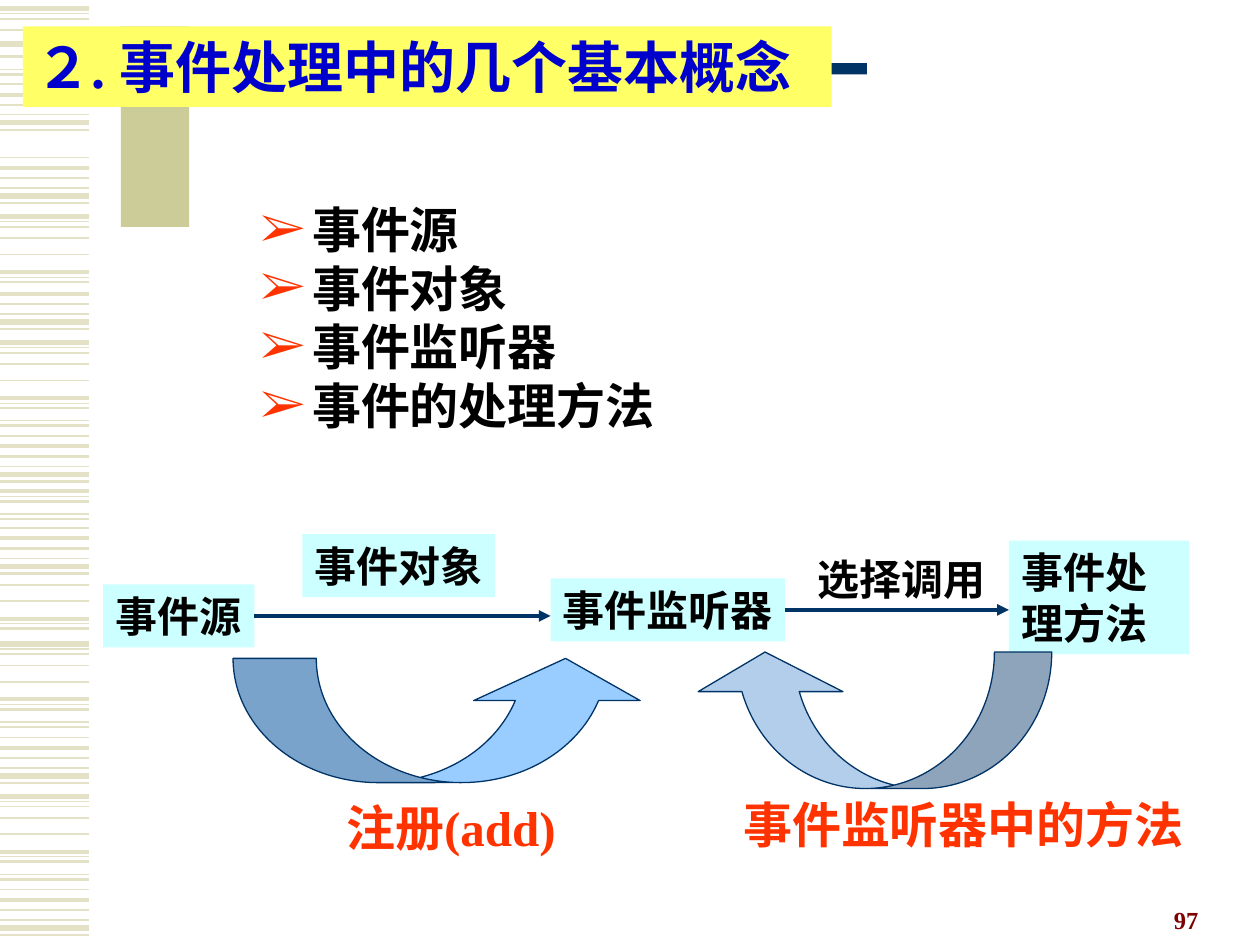
import pptx
import pptx.util
import pptx.dml.color
import pptx.enum.shapes
import pptx.enum.text
import pptx.oxml
import pptx.oxml.ns
import lxml.etree

Pt = pptx.util.Pt
SHAPE = pptx.enum.shapes.MSO_SHAPE
ALIGN = pptx.enum.text.PP_ALIGN
ANCHOR = pptx.enum.text.MSO_ANCHOR

# Content
TITLE = "２. 事件处理中的几个基本概念"
CONCEPTS = ["事件源", "事件对象", "事件监听器", "事件的处理方法"]
PAGE_NUMBER = "97"

# Labels: text, (left, top, width, height), style, filled, wrapped
LABELS = [
    ("事件源", (59, 334, 86.4, 36), "label", True, False),
    ("事件对象", (172.8, 305.3, 110.2, 36), "label", True, False),
    ("事件监听器", (314.6, 330.5, 134, 36), "label", True, False),
    ("选择调用", (460, 312.5, 110.2, 36), "label", False, False),
    ("事件处理方法", (576.5, 309, 103, 64.8), "label", True, True),
    ("注册(add)", (190.8, 452.2, 140.4, 41), "caption", False, False),
    ("事件监听器中的方法", (417.6, 450.7, 265.7, 41), "caption", False, False),
]
ARROWS = [("事件源", "事件监听器"), ("事件监听器", "事件处理方法")]

# Curved arrows: preset, frame, rotation, fill, adjustments
CURVED_ARROWS = [
    (SHAPE.CURVED_UP_ARROW, (133.2, 376.2, 237.6, 71), 0, "register", (0.67, 1.34, 0.34)),
    (SHAPE.CURVED_LEFT_ARROW, (459.4, 309, 78, 205.2), 90, "callback", (0.42, 1.06, 0.29)),
]

# Side stripes: (offset, weight) motifs, and where each one starts
SHORT_MOTIF = [(0, 1), (6, 2.25), (11.8, 1.5), (17.4, 0.75), (22, 3), (26, 1.5)]
LONG_MOTIF = [(0, 3), (2.9, 0.75), (5.8, 1), (12.3, 1), (21.7, 1), (31.7, 2.25),
              (34.6, 0.75), (37.4, 1.5), (44.6, 0.75), (47.5, 1.5)]
STRIPE_RUNS = [
    *[(top, SHORT_MOTIF) for top in (48.2, 90, 249.1, 301.7, 421.4, 508.3)],
    *[(top, LONG_MOTIF) for top in (195.8, 368, 455)],
    (162, SHORT_MOTIF[1:]),
    (5, LONG_MOTIF[:4]),
    (-5, LONG_MOTIF[7:]),
    (25.2, LONG_MOTIF[:1]),
    (123.8, LONG_MOTIF[:8]),
    (249.1, LONG_MOTIF[5:]),
    (321.8, LONG_MOTIF[3:8]),
]
STRIPE_LENGTH = 51
BULLET_INDENT = 29.5

THEME = {
    "font": "Times New Roman",
    "colours": {"stripe": "E3E2C7", "block": "CCCC99", "navy": "003366",
                "title_fill": "FFFF66", "label_fill": "CCFFFF", "bullet": "FF3300",
                "register": "99CCFF", "callback": "B2CEEA"},
    "text": {"title": (32, "0000CC"), "list": (28, "000000"), "label": (24, "000000"),
             "caption": (28, "FF3300"), "number": (14, "800000")},
}


def rgb(name):
    return pptx.dml.color.RGBColor.from_string(THEME["colours"].get(name, name))


def set_fill(shape, name):
    shape.fill.solid()
    shape.fill.fore_color.rgb = rgb(name)


def write(shape, lines, style, wrap=False, align=ALIGN.LEFT, anchor=ANCHOR.TOP, bullet=None):
    frame = shape.text_frame
    formats = {"word_wrap": wrap, "vertical_anchor": anchor,
               "auto_size": pptx.enum.text.MSO_AUTO_SIZE.NONE,
               "margin_left": Pt(7.2), "margin_right": Pt(7.2),
               "margin_top": Pt(3.6), "margin_bottom": Pt(3.6)}
    for name, value in formats.items():
        setattr(frame, name, value)
    size, colour = THEME["text"][style]
    frame.text = "\n".join(lines)
    for paragraph in frame.paragraphs:
        paragraph.alignment = align
        if bullet:
            add_bullet(paragraph, bullet)
        for name, value in {"name": THEME["font"], "size": Pt(size), "bold": True}.items():
            setattr(paragraph.runs[0].font, name, value)
        paragraph.runs[0].font.color.rgb = rgb(colour)


def add_bullet(paragraph, character):
    properties = paragraph._p.get_or_add_pPr()
    properties.set("marL", str(Pt(BULLET_INDENT)))
    properties.set("indent", str(-Pt(BULLET_INDENT)))
    qualify = pptx.oxml.ns.qn
    colour = lxml.etree.SubElement(properties, qualify("a:buClr"))
    lxml.etree.SubElement(colour, qualify("a:srgbClr"), val=THEME["colours"]["bullet"])
    lxml.etree.SubElement(properties, qualify("a:buFont"), typeface=THEME["font"])
    lxml.etree.SubElement(properties, qualify("a:buChar"), char=character)


def add_block(slide, preset, frame, fill):
    shape = slide.shapes.add_shape(preset, *map(Pt, frame))
    shape.shadow.inherit = False
    set_fill(shape, fill)
    shape.line.fill.background()
    return shape


def add_line(slide, start, end, colour, weight, arrow=False):
    line = slide.shapes.add_connector(
        pptx.enum.shapes.MSO_CONNECTOR.STRAIGHT, *map(Pt, start + end))
    line.line.color.rgb = rgb(colour)
    line.line.width = Pt(weight)
    qualify = pptx.oxml.ns.qn
    lxml.etree.SubElement(line.element.spPr, qualify("a:effectLst"))
    if arrow:
        outline = line.element.spPr.find(qualify("a:ln"))
        lxml.etree.SubElement(outline, qualify("a:tailEnd"), type="triangle")
    return line


def main():
    presentation = pptx.Presentation()
    presentation.slide_width, presentation.slide_height = Pt(720), Pt(540)
    slide = presentation.slides.add_slide(presentation.slide_layouts[5])

    # Side stripes and decorative blocks
    for top, motif in STRIPE_RUNS:
        for offset, weight in motif:
            y = top + offset
            add_line(slide, (0, y), (STRIPE_LENGTH, y), "stripe", weight)
    add_block(slide, SHAPE.RECTANGLE, (69.1, 15.1, 39, 114.5), "block")
    add_block(slide, SHAPE.RECTANGLE, (49.7, 36, 445.7, 6.5), "navy")

    # Title, raised above the blocks; no right margin, so it stays on one line
    title = slide.shapes.title
    title.element.getparent().append(title.element)
    frame = zip(("left", "top", "width", "height"), (13, 15.1, 462.2, 46))
    for name, value in frame:
        setattr(title, name, Pt(value))
    set_fill(title, "title_fill")
    write(title, [TITLE], "title")
    title.text_frame.margin_right = Pt(0)

    # Concept list
    concepts = slide.shapes.add_textbox(*map(Pt, (141.8, 110.2, 260, 141.8)))
    write(concepts, CONCEPTS, "list", wrap=True, anchor=ANCHOR.MIDDLE, bullet="➢")

    # Flow labels and captions
    boxes, frames = {}, {}
    for text, frame, style, filled, wrap in LABELS:
        if filled:
            box = add_block(slide, SHAPE.RECTANGLE, frame, "label_fill")
        else:
            box = slide.shapes.add_textbox(*map(Pt, frame))
        write(box, [text], style, wrap)
        boxes[text], frames[text] = box, frame

    # Straight arrows, level with the middle of the box they leave
    for source, target in ARROWS:
        left, top, width, height = frames[source]
        y = top + height / 2
        arrow = add_line(slide, (left + width, y), (frames[target][0], y), "navy", 2.25, True)
        arrow.begin_connect(boxes[source], 3)

    # Curved arrows
    for preset, frame, rotation, fill, adjustments in CURVED_ARROWS:
        curve = add_block(slide, preset, frame, fill)
        curve.rotation = rotation
        curve.line.color.rgb = rgb("navy")
        curve.line.width = Pt(0.75)
        for index, value in enumerate(adjustments):
            curve.adjustments[index] = value

    # Page number
    number = slide.shapes.add_textbox(*map(Pt, (519.1, 501.8, 172.8, 36)))
    write(number, [PAGE_NUMBER], "number", True, ALIGN.RIGHT, ANCHOR.BOTTOM)

    presentation.save("out.pptx")


if __name__ == "__main__":
    main()
